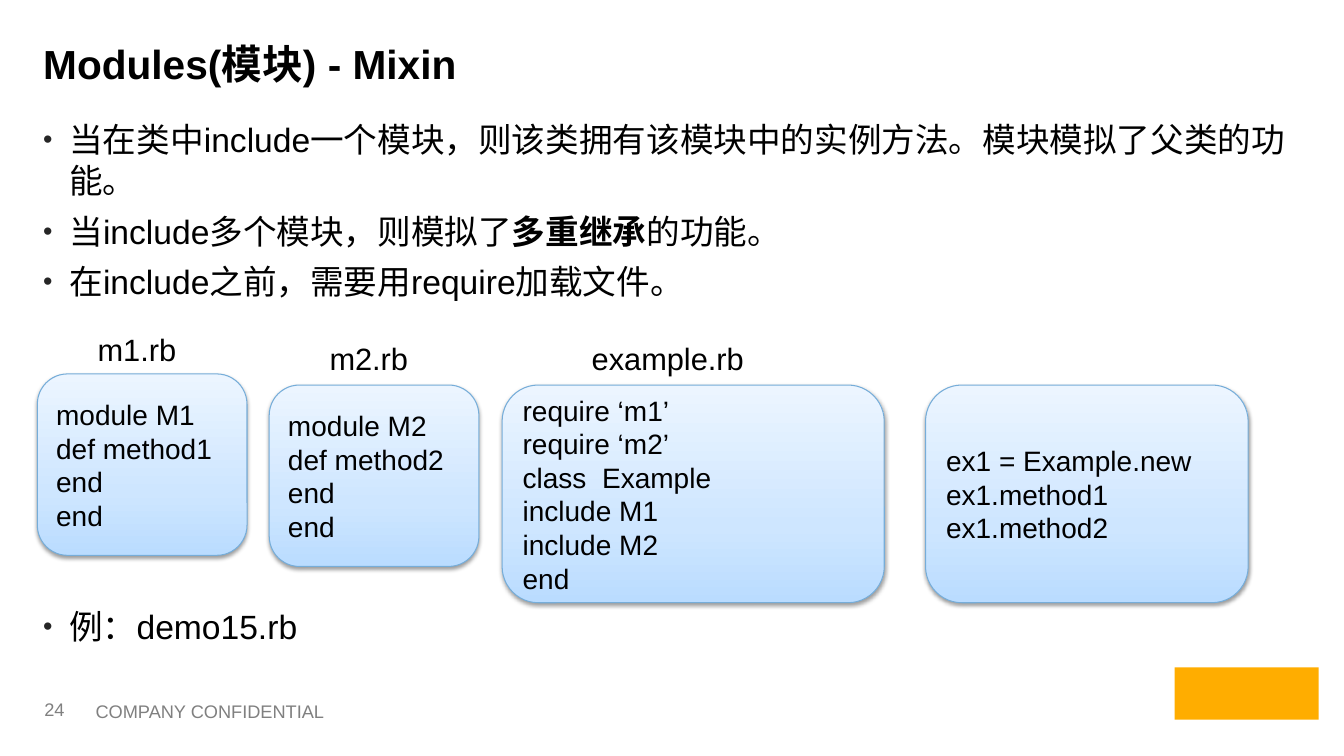
from lxml import etree
from pptx import Presentation
from pptx import util as u
from pptx.dml.color import RGBColor
from pptx.enum import shapes, text
from pptx.oxml.ns import qn

PX = 9144  # EMU per px, 100 px to the inch


def rgb(value):
    return RGBColor.from_string(value)


def add(parent, tag, **attrs):
    return etree.SubElement(parent, qn(tag), {k: str(v) for k, v in attrs.items()})


class Deck:
    font = "Arial"
    black, grey = "000000", "808080"
    box_line = "76ADD9"
    box_stops = [(0, "BADCFF"), (35, "CEE6FF"), (100, "ECF5FF")]
    top, middle = text.MSO_ANCHOR.TOP, text.MSO_ANCHOR.MIDDLE

    def __init__(self, width, height):
        self.prs = Presentation()
        self.prs.slide_width, self.prs.slide_height = width * PX, height * PX
        self.s = self.prs.slides.add_slide(self.prs.slide_layouts[6])

    def fill_text(self, tf, paragraphs, size, color=black, bold=False, bullet=False,
                  anchor=middle, **spacing):
        """Each paragraph is a list of runs; every second run is emphasised."""
        tf.vertical_anchor = anchor
        for i, runs in enumerate(paragraphs):
            p = tf.paragraphs[0] if i == 0 else tf.add_paragraph()
            p.alignment = text.PP_ALIGN.LEFT
            for name, value in spacing.items():
                setattr(p, name, u.Pt(value))
            if bullet:
                self.bullet(p)
            for j, words in enumerate(runs):
                r = p.add_run()
                r.text = words
                style = {"name": self.font, "size": u.Pt(size), "bold": bold or j % 2 == 1}
                for name, value in style.items():
                    setattr(r.font, name, value)
                r.font.color.rgb = rgb(color)

    def bullet(self, p):
        pPr = p._p.get_or_add_pPr()
        pPr.set("marL", str(26 * PX))
        pPr.set("indent", str(-26 * PX))
        add(add(pPr, "a:buClr"), "a:srgbClr", val="262626")
        add(pPr, "a:buSzPct", val=80000)
        add(pPr, "a:buFont", typeface=self.font)
        add(pPr, "a:buChar", char="•")

    def textbox(self, at, paragraphs, size, wrap=True, inset=10, **style):
        sp = self.s.shapes.add_textbox(*(v * PX for v in at))
        tf = sp.text_frame
        tf.word_wrap = wrap
        tf.margin_left = tf.margin_right = inset * PX
        self.fill_text(tf, paragraphs, size, **style)

    def shape(self, kind, at):
        sp = self.s.shapes.add_shape(kind, *(v * PX for v in at))
        sp.shadow.inherit = False
        return sp

    def code_box(self, at, lines):
        sp = self.shape(shapes.MSO_SHAPE.ROUNDED_RECTANGLE, at)
        sp.line.color.rgb = rgb(self.box_line)
        sp.line.width = u.Pt(0.75)
        # Three-stop gradient, running upwards
        sp.fill.gradient()
        sp.fill.gradient_angle = 90
        stops = sp._element.spPr.find(qn("a:gradFill")).find(qn("a:gsLst"))
        for old in list(stops):
            stops.remove(old)
        for pos, color in self.box_stops:
            add(add(stops, "a:gs", pos=pos * 1000), "a:srgbClr", val=color)
        # Soft shadow below
        effects = sp._element.spPr.find(qn("a:effectLst"))
        shadow = add(effects, "a:outerShdw", blurRad=int(u.Pt(3.1)), dist=int(u.Pt(1.6)),
                     dir=5400000, rotWithShape=0)
        add(add(shadow, "a:srgbClr", val=self.black), "a:alpha", val=38000)
        self.fill_text(sp.text_frame, [[line] for line in lines], 20, line_spacing=24)

    def block(self, at, color):
        sp = self.shape(shapes.MSO_SHAPE.RECTANGLE, at)
        sp.fill.solid()
        sp.fill.fore_color.rgb = rgb(color)
        sp.line.fill.background()


def main():
    d = Deck(1333, 750)

    # Footer and corner mark
    d.textbox((85, 689, 398, 34), [["COMPANY CONFIDENTIAL"]], 13, color=d.grey)
    d.textbox((37, 689, 65, 30), [["24"]], 13, color=d.grey, inset=7)
    d.block((1165, 662, 143, 52), "FFAD00")

    # Title
    d.textbox((33, 31, 1275, 72), [["Modules(模块) - Mixin"]], 29, bold=True,
              anchor=d.top, line_spacing=37)

    # Bullets above and below the code
    points = [
        ["当在类中include一个模块，则该类拥有该模块中的实例方法。模块模拟了父类的功能。"],
        ["当include多个模块，则模拟了", "多重继承", "的功能。"],
        ["在include之前，需要用require加载文件。"],
    ]
    for y, height, items in [(112, 190, points), (595, 52, [["例：demo15.rb"]])]:
        d.textbox((33, y, 1275, height), items, 24, bullet=True, anchor=d.top,
                  line_spacing=29.5, space_before=5.8, space_after=0.8)

    # Code boxes
    for at, lines in [
        ((37, 371, 208, 180), ["module M1", "def method1", "end", "end"]),
        ((267, 382, 208, 180), ["module M2", "def method2", "end", "end"]),
        ((498, 382, 379, 216), ["require ‘m1’", "require ‘m2’", "class  Example",
                                "include M1", "include M2", "end"]),
        ((918, 382, 320, 216), ["ex1 = Example.new", "ex1.method1", "ex1.method2"]),
    ]:
        d.code_box(at, lines)

    # File names
    for x, y, width, name in [(87, 320, 107, "m1.rb"), (317, 329, 107, "m2.rb"),
                              (577, 329, 172, "example.rb")]:
        d.textbox((x, y, width, 53), [[name]], 22, wrap=False)

    d.prs.save("out.pptx")


if __name__ == "__main__":
    main()
